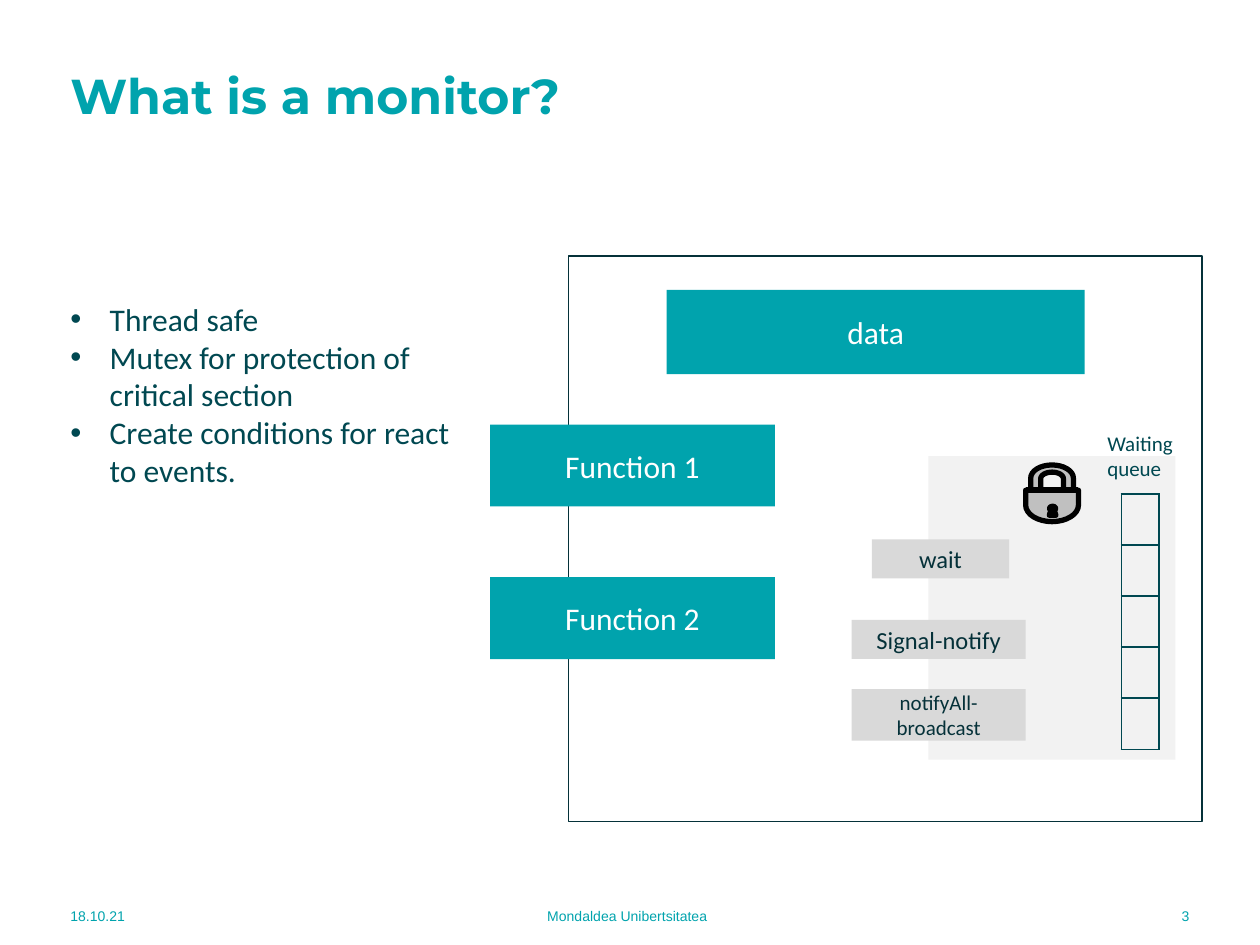
from dataclasses import dataclass
from math import cos, pi, sin

from lxml.etree import SubElement
from pptx import Presentation
from pptx.dml.color import RGBColor
from pptx.enum.shapes import MSO_SHAPE
from pptx.enum.text import MSO_ANCHOR, PP_ALIGN
from pptx.oxml.ns import qn
from pptx.shapes.autoshape import Shape
from pptx.slide import Slide
from pptx.table import _Cell
from pptx.util import Pt

TEAL = RGBColor(0x00, 0xA3, 0xAD)
DEEP_TEAL = RGBColor(0x00, 0x48, 0x51)
INK = RGBColor(0x05, 0x31, 0x39)
WHITE = RGBColor(0xFF, 0xFF, 0xFF)
PALE_GREY = RGBColor(0xF2, 0xF2, 0xF2)
LIGHT_GREY = RGBColor(0xD9, 0xD9, 0xD9)
SILVER = RGBColor(0xC0, 0xC0, 0xC0)
BLACK = RGBColor(0x00, 0x00, 0x00)

Point = tuple[float, float]


@dataclass
class Area:
    left: float
    top: float
    width: float
    height: float

    def lengths(self) -> tuple[Pt, Pt, Pt, Pt]:
        return Pt(self.left), Pt(self.top), Pt(self.width), Pt(self.height)


@dataclass
class Style:
    size: float
    color: RGBColor
    font: str = "Calibri"
    bold: bool = False
    align: PP_ALIGN = PP_ALIGN.LEFT
    anchor: MSO_ANCHOR = MSO_ANCHOR.MIDDLE


@dataclass
class Block:
    area: Area
    fill: RGBColor
    text: str = ""
    size: float = 18
    color: RGBColor = WHITE
    line: RGBColor | None = None


@dataclass
class Label:
    area: Area
    text: str
    style: Style


BLOCKS = [
    Block(Area(324.7, 146.2, 362.2, 323.3), WHITE, line=INK),
    Block(Area(380.9, 165.6, 239, 48.2), TEAL, "data"),
    Block(Area(280.1, 242.6, 162.7, 46.8), TEAL, "Function 1"),
    Block(Area(280.1, 329.8, 162.7, 46.8), TEAL, "Function 2"),
    Block(Area(530.6, 260.6, 141.1, 173.5), PALE_GREY),
    Block(Area(486.7, 354.2, 99.4, 22.3), LIGHT_GREY, "Signal-notify", 14, INK),
    Block(Area(498.2, 308.2, 78.5, 22.3), LIGHT_GREY, "wait", 14, INK),
    Block(Area(486.7, 393.8, 99.4, 29.5), LIGHT_GREY, "notifyAll-broadcast", 12, INK),
]

LABELS = [
    Label(Area(33.1, 37.4, 603.4, 33.8), "What is a monitor?",
          Style(28, TEAL, "Montserrat", bold=True)),
    Label(Area(33.1, 509, 92.9, 28.8), "18.10.21", Style(8, TEAL, "Arial")),
    Label(Area(170.6, 509, 375.8, 28.8), "Mondaldea Unibertsitatea",
          Style(8, TEAL, "Arial", align=PP_ALIGN.CENTER)),
    Label(Area(599, 509, 87.8, 28.8), "3", Style(8, TEAL, "Arial", align=PP_ALIGN.RIGHT)),
    Label(Area(625.7, 242.6, 53.3, 36), "Waiting queue",
          Style(12, DEEP_TEAL, anchor=MSO_ANCHOR.TOP)),
]

BULLETS = ("Thread safe\nMutex for protection of critical section\n"
           "Create conditions for react to events.")
QUEUE_PLACES = 5


def set_text(shape: Shape, text: str, style: Style) -> None:
    frame = shape.text_frame
    frame.text = text
    frame.word_wrap = True
    frame.vertical_anchor = style.anchor
    for para in frame.paragraphs:
        para.alignment = style.align
        for span in para.runs:
            span.font.name = style.font
            span.font.size = Pt(style.size)
            span.font.bold = style.bold
            span.font.color.rgb = style.color


def draw_block(page: Slide, block: Block) -> None:
    box = page.shapes.add_shape(MSO_SHAPE.RECTANGLE, *block.area.lengths())
    box.shadow.inherit = False
    box.fill.solid()
    box.fill.fore_color.rgb = block.fill
    if block.line is None:
        box.line.fill.background()
    else:
        box.line.color.rgb = block.line
        box.line.width = Pt(0.75)
    if block.text:
        set_text(box, block.text, Style(block.size, block.color, align=PP_ALIGN.CENTER))


def draw_label(page: Slide, label: Label) -> Shape:
    box = page.shapes.add_textbox(*label.area.lengths())
    set_text(box, label.text, label.style)
    return box


def draw_bullets(page: Slide) -> None:
    style = Style(18, DEEP_TEAL, anchor=MSO_ANCHOR.TOP)
    box = draw_label(page, Label(Area(33.1, 146.2, 239, 219.6), BULLETS, style))
    paragraphs = box.text_frame.paragraphs
    paragraphs[0].line_spacing = 2.0
    for para in paragraphs:
        properties = para._p.get_or_add_pPr()
        properties.set("marL", str(Pt(22.5)))
        properties.set("indent", str(-Pt(22.5)))
        SubElement(properties, qn("a:buFont"), typeface="Arial")
        SubElement(properties, qn("a:buChar"), char="•")


def arc(center: Point, radii: Point, start: float, end: float, steps: int = 16) -> list[Point]:
    """Points on an ellipse, with angles in half turns clockwise from the right."""
    angles = [pi * (start + (end - start) * step / steps) for step in range(steps + 1)]
    return [(center[0] + radii[0] * cos(angle), center[1] + radii[1] * sin(angle))
            for angle in angles]


def draw_outline(page: Slide, contours: list[list[Point]], fill: RGBColor, width: float) -> None:
    contours = [[(Pt(x), Pt(y)) for x, y in contour] for contour in contours]
    builder = page.shapes.build_freeform(*contours[0][0])
    for number, contour in enumerate(contours):
        if number:
            builder.move_to(*contour[0])
        builder.add_line_segments(contour[1:], close=True)
    outline = builder.convert_to_shape()
    outline.shadow.inherit = False
    outline.fill.solid()
    outline.fill.fore_color.rgb = fill
    outline.line.color.rgb = BLACK
    outline.line.width = Pt(width)


def draw_padlock(page: Slide) -> None:
    middle, left, right, seam = 601.2, 586.1, 616.3, 280.1
    bow = arc((middle, 273.2), (12.2, 7.5), 1, 2)
    base = arc((middle, 288.6), (15.1, 9.5), 0, 1)
    opening = arc((middle, 273.6), (6.5, 3.8), 1, 2)
    body = [(left, seam), (bow[0][0], seam), *bow, (bow[-1][0], seam), (right, seam), *base]
    hole = [(opening[0][0], seam), *opening, (opening[-1][0], seam)]
    draw_outline(page, [body, hole], SILVER, 3)
    draw_outline(page, [[(left, seam), (right, seam)]], SILVER, 3)
    # Keyhole
    keyhole = [*arc((middle + 0.3, 290.6), (1.7, 1.3), 0.7, 2.3),
               (middle + 2.2, 294.5), (middle - 1.6, 294.5)]
    draw_outline(page, [keyhole], SILVER, 3)


def set_borders(cell: _Cell, color: RGBColor) -> None:
    properties = cell._tc.get_or_add_tcPr()
    for index, side in enumerate(("a:lnL", "a:lnR", "a:lnT", "a:lnB")):
        line = properties.makeelement(qn(side), {"w": str(Pt(1))})
        SubElement(SubElement(line, qn("a:solidFill")), qn("a:srgbClr"), val=str(color))
        properties.insert(index, line)


def draw_queue(page: Slide) -> None:
    area = Area(640.8, 282.2, 21.6, 146)
    table = page.shapes.add_table(QUEUE_PLACES, 1, *area.lengths()).table
    table.first_row = table.horz_banding = False
    for cell in table.iter_cells():
        cell.margin_top = cell.margin_bottom = Pt(2)
        cell.fill.background()
        set_borders(cell, DEEP_TEAL)


def main() -> None:
    deck = Presentation()
    deck.slide_width, deck.slide_height = Pt(720), Pt(540)
    page = deck.slides.add_slide(deck.slide_layouts[6])

    # Monitor with its data, functions and condition
    for block in BLOCKS:
        draw_block(page, block)
    draw_padlock(page)
    draw_queue(page)

    # Title, footer, queue caption and explanation
    for label in LABELS:
        draw_label(page, label)
    draw_bullets(page)

    deck.save("out.pptx")


if __name__ == "__main__":
    main()
